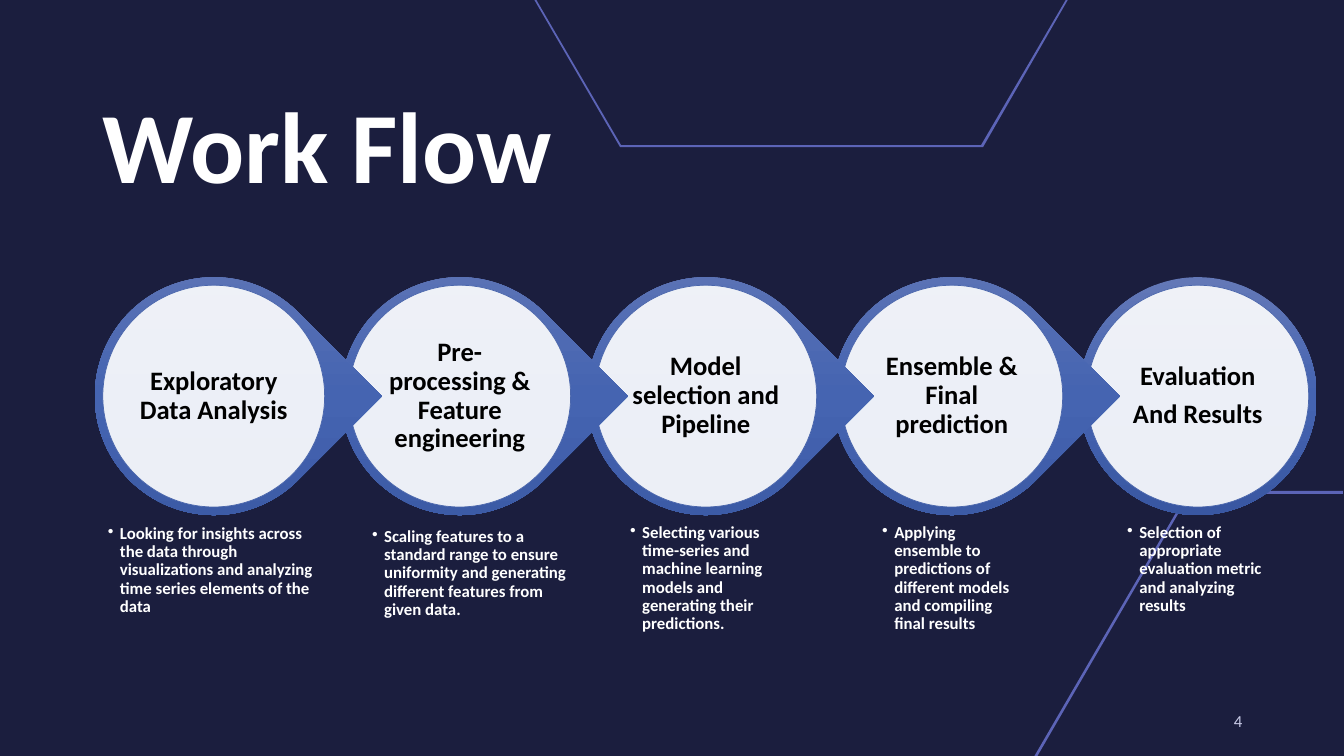
import copy

import lxml.etree
import pptx
import pptx.dml.color
import pptx.enum.shapes
import pptx.enum.text
import pptx.oxml.ns
import pptx.util

Inches = pptx.util.Inches
Pt = pptx.util.Pt
Align = pptx.enum.text.PP_ALIGN
Anchor = pptx.enum.text.MSO_ANCHOR
Shape = pptx.enum.shapes.MSO_SHAPE
qn = pptx.oxml.ns.qn

COLORS = {
    "background": "1B1E3E",
    "band": "5C64B7",
    "title": "FFFFFF",
    "ring_top": "6378B7",
    "ring_middle": "4564B1",
    "ring_bottom": "3957A2",
    "disc": "FFFFFF",
    "disc_line": "4A66AC",
    "step": "000000",
    "note": "FFFFFF",
    "number": "C9CBE7",
}
FONT = "Calibri"
RING = 2.36
DISC = 2.2
LABEL = 1.57
STEP_PITCH = 2.44

STEPS = [
    (["Exploratory Data Analysis"], (1.02, 5.16, 2.2, 1.29),
     "Looking for insights across the data through visualizations and "
     "analyzing time series elements of the data"),
    (["Pre- processing & Feature engineering"], (3.64, 5.19, 2.2, 1.29),
     "Scaling features to a standard range to ensure uniformity and "
     "generating different features from given data."),
    (["Model selection and Pipeline"], (6.2, 5.15, 1.44, 0.85),
     "Selecting various time-series and machine learning models and "
     "generating their predictions."),
    (["Ensemble & Final prediction"], (8.7, 5.15, 1.44, 0.85),
     "Applying ensemble to predictions of different models and compiling "
     "final results"),
    (["Evaluation", "And Results"], (11.13, 5.15, 1.44, 0.85),
     "Selection of appropriate evaluation metric and analyzing results"),
]

BANDS = [
    [(6.15, 1.46), (9.75, 1.46), (10.59, 0), (10.57, 0),
     (9.73, 1.44), (6.16, 1.44), (5.32, 0), (5.3, 0)],
    [(11.8, 4.9), (13.32, 4.9), (13.32, 4.87), (11.79, 4.87),
     (10.26, 7.5), (10.29, 7.5)],
]


def color(name):
    return pptx.dml.color.RGBColor.from_string(COLORS[name])


def lengths(box):
    return [Inches(value) for value in box]


def centered(center_x, center_y, size):
    return center_x - size / 2, center_y - size / 2, size, size


def add_span(para, text, size, name, bold=True):
    span = para.add_run()
    span.text = text
    span.font.name = FONT
    span.font.size = Pt(size)
    span.font.bold = bold
    span.font.color.rgb = color(name)


def add_text_box(page, box, inset, anchor):
    text_box = page.shapes.add_textbox(*lengths(box))
    frame = text_box.text_frame
    frame.word_wrap = True
    frame.vertical_anchor = anchor
    frame.margin_left = frame.margin_right = Inches(inset)
    frame.margin_top = frame.margin_bottom = Inches(inset)
    return frame


def add_title(page, box):
    title = page.shapes.title
    title.left, title.top, title.width, title.height = lengths(box)
    frame = title.text_frame
    frame.auto_size = pptx.enum.text.MSO_AUTO_SIZE.NONE
    frame.vertical_anchor = Anchor.MIDDLE
    para = frame.paragraphs[0]
    para.alignment = Align.LEFT
    para.line_spacing = 0.9
    add_span(para, "Work Flow", 72, "title")


def add_band(page, points):
    start, *rest = [(Inches(x), Inches(y)) for x, y in points]
    builder = page.shapes.build_freeform(*start)
    builder.add_line_segments(rest, close=True)
    band = builder.convert_to_shape()
    band.shadow.inherit = False
    band.fill.solid()
    band.fill.fore_color.rgb = color("band")
    band.line.fill.background()


def fill_ring(ring):
    ring.fill.gradient()
    ring.fill.gradient_angle = 270
    gradient = ring._element.spPr.find(qn("a:gradFill"))
    gradient.set("rotWithShape", "0")
    stop_list = gradient.find(qn("a:gsLst"))
    stop_list.append(copy.deepcopy(stop_list[-1]))
    names = ("ring_top", "ring_middle", "ring_bottom")
    for index, (stop, name) in enumerate(zip(ring.fill.gradient_stops, names)):
        stop.position = index / 2
        stop.color.rgb = color(name)


def add_step(page, box, lines, is_last):
    left, top, width, height = box
    center = left + width / 2, top + height / 2
    kind = Shape.OVAL if is_last else Shape.TEAR
    ring = page.shapes.add_shape(kind, *lengths(box))
    ring.rotation = 0 if is_last else 45
    ring.shadow.inherit = False
    ring.line.fill.background()
    fill_ring(ring)

    disc = page.shapes.add_shape(Shape.OVAL, *lengths(centered(*center, DISC)))
    disc.shadow.inherit = False
    disc.fill.solid()
    disc.fill.fore_color.rgb = color("disc")
    solid = disc._element.spPr.find(qn("a:solidFill"))
    lxml.etree.SubElement(solid[0], qn("a:alpha"), val="90000")
    disc.line.color.rgb = color("disc_line")
    disc.line.width = Pt(0.5)

    frame = add_text_box(page, centered(*center, LABEL), 0.03, Anchor.MIDDLE)
    for index, line in enumerate(lines):
        para = frame.add_paragraph() if index else frame.paragraphs[0]
        para.alignment = Align.CENTER
        para.line_spacing = 0.9
        if index < len(lines) - 1:
            para.space_after = Pt(6.65)
        add_span(para, line, 19, "step")


def add_note(page, box, text):
    para = add_text_box(page, box, 0.05, Anchor.TOP).paragraphs[0]
    para.line_spacing = 0.9
    properties = para._p.get_or_add_pPr()
    properties.set("marL", str(Inches(0.12)))
    properties.set("indent", str(-Inches(0.12)))
    lxml.etree.SubElement(properties, qn("a:buChar"), char="•")
    add_span(para, text, 12, "note")


def add_workflow(page, left, top):
    for index, (lines, note_box, note) in reversed(list(enumerate(STEPS))):
        box = (left + index * STEP_PITCH, top, RING, RING)
        add_step(page, box, lines, index == len(STEPS) - 1)
        add_note(page, note_box, note)


def add_page_number(page, box):
    para = add_text_box(page, box, 0.1, Anchor.MIDDLE).paragraphs[0]
    para.alignment = Align.RIGHT
    add_span(para, "4", 12, "number", bold=False)


def main():
    deck = pptx.Presentation()
    deck.slide_width = Inches(13.33)
    deck.slide_height = Inches(7.5)
    page = deck.slides.add_slide(deck.slide_layouts[5])
    page.background.fill.solid()
    page.background.fill.fore_color.rgb = color("background")
    for points in BANDS:
        add_band(page, points)
    add_title(page, (0.92, 0.4, 12.01, 2.2))
    add_workflow(page, 0.94, 2.75)
    add_page_number(page, (9.42, 6.95, 3, 0.4))
    deck.save("out.pptx")


if __name__ == "__main__":
    main()
